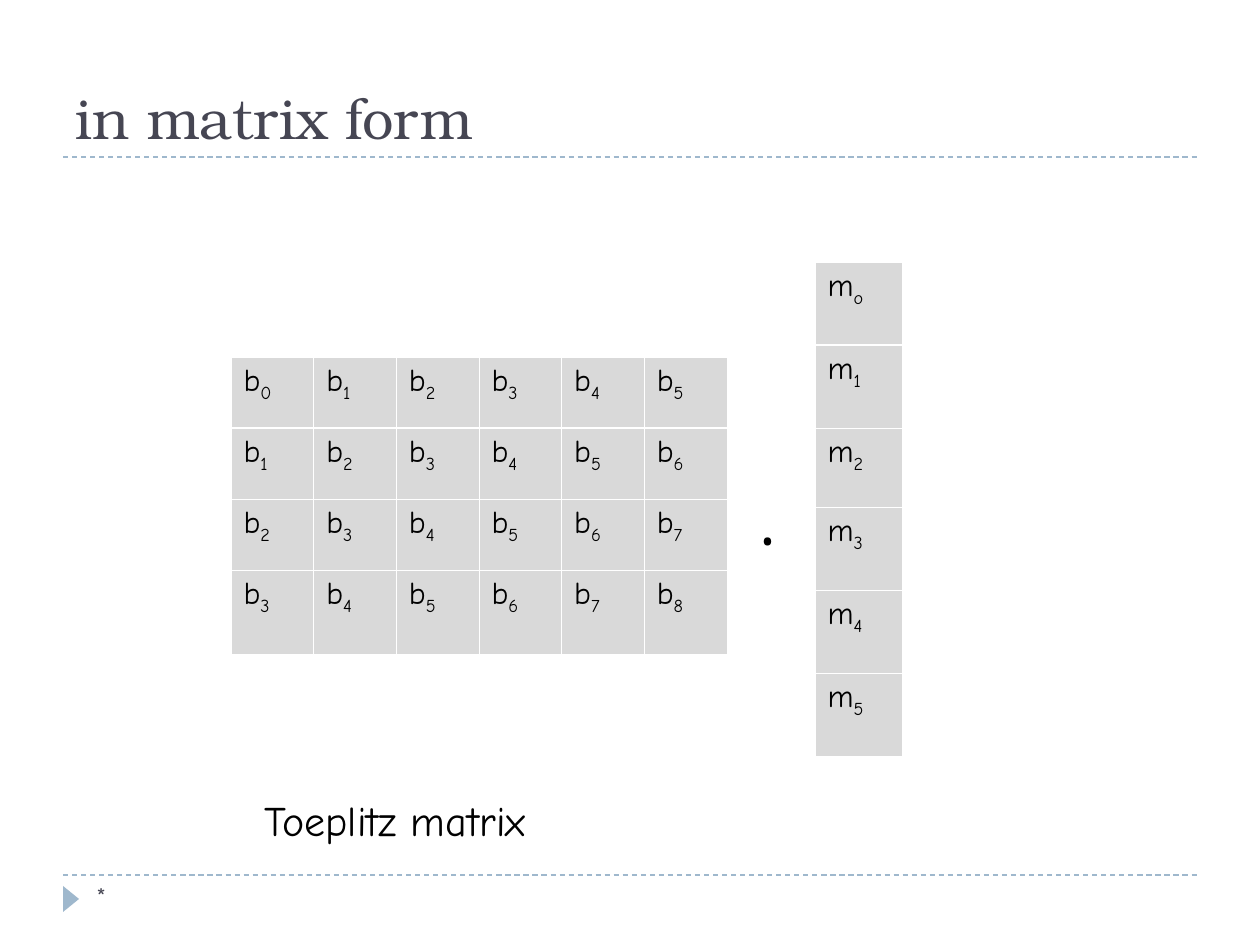
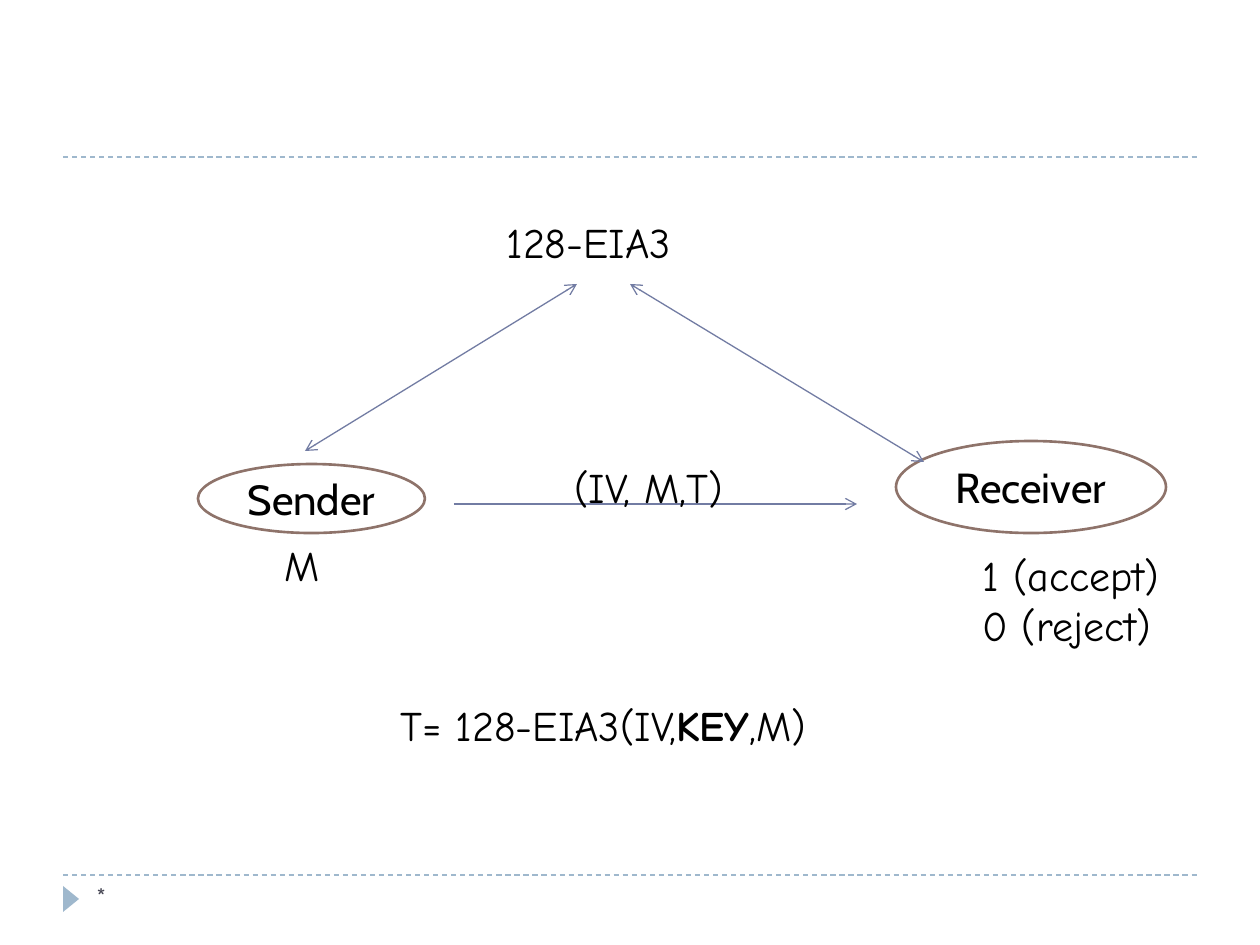
from lxml.etree import SubElement
from pptx import Presentation
from pptx.dml.color import RGBColor
from pptx.enum.dml import MSO_LINE
from pptx.enum.shapes import MSO_CONNECTOR, MSO_SHAPE
from pptx.enum.text import MSO_ANCHOR, MSO_AUTO_SIZE, PP_ALIGN
from pptx.oxml.ns import qn
from pptx.util import Emu, Pt

# Shared look
INK, TITLE, BAND = "000000", "464653", "9FB8CD"
CELL, WHITE, RING, ARROW = "D9D9D9", "FFFFFF", "8E736A", "727CA3"
BODY, HEAD, NODE, MATH = "Comic Neue", "TeX Gyre Bonum", "Cabin", "Cambria"

# Matrix slide: rows of (letter, subscript), then place, width and row heights
MATRIX = [[("b", str(row + col)) for col in range(6)] for row in range(4)]
VECTOR = [[("m", sub)] for sub in "o12345"]
TABLES = [
    (MATRIX, 231, 357, 496, [71, 71, 71, 84]),
    (VECTOR, 815, 262, 87, [83, 83, 79, 83, 83, 83]),
]
NOTES = [
    ([["."]], (748, 469, 43, 97), dict(font=MATH, size=40)),
    ([["Toeplitz matrix"]], (252, 788, 304, 63), {}),
]

# Protocol slide
NODES = [("Sender", (198, 464, 227, 69)), ("Receiver", (896, 441, 270, 92))]
LABELS = [
    ([["(IV, M,T)"]], (562, 455, 178, 63), {}),
    ([["M"]], (272, 533, 60, 63), {}),
    ([["1 (accept)"], ["0 (reject)"]], (970, 543, 217, 113), {}),
    ([["128-EIA3"]], (494, 210, 336, 63), dict(wrap=True)),
    ([["T= 128-EIA3(IV,", ("KEY", {"b": "1"}), ",M)"]],
     (388, 693, 630, 63), dict(wrap=True)),
]
ARROWS = [  # from, to, two-headed
    ((454, 504), (857, 504), False),
    ((305, 451), (577, 284), True),
    ((924, 462), (630, 284), True),
]


def px(n):
    return Emu(round(n * 914400 / 126))


def paint(hue):
    return RGBColor.from_string(hue)


def write(frame, paras, font=BODY, size=24, hue=INK, align=PP_ALIGN.LEFT):
    """Fill a frame; a run is plain text or (text, run attributes)."""
    for i, runs in enumerate(paras):
        para = frame.add_paragraph() if i else frame.paragraphs[0]
        para.alignment = align
        for item in runs:
            words, extra = (item, {}) if isinstance(item, str) else item
            run = para.add_run()
            run.text = words
            run.font.name, run.font.size = font, Pt(size)
            run.font.color.rgb = paint(hue)
            for key, val in extra.items():
                run._r.get_or_add_rPr().set(key, val)


def label(slide, paras, box, wrap=False, grow=True,
          anchor=MSO_ANCHOR.TOP, **style):
    frame = slide.shapes.add_textbox(*map(px, box)).text_frame
    frame.word_wrap = wrap
    frame.auto_size = (MSO_AUTO_SIZE.SHAPE_TO_FIT_TEXT if grow
                       else MSO_AUTO_SIZE.NONE)
    frame.vertical_anchor = anchor
    write(frame, paras, **style)


def shape(slide, kind, box, fill, edge=None):
    item = slide.shapes.add_shape(kind, *map(px, box))
    item.shadow.inherit = False
    item.fill.solid()
    item.fill.fore_color.rgb = paint(fill)
    if edge:
        item.line.color.rgb = paint(edge)
        item.line.width = Pt(1.5)
    else:
        item.line.fill.background()
    return item


def line(slide, start, end, hue, dash=None, ends=()):
    item = slide.shapes.add_connector(
        MSO_CONNECTOR.STRAIGHT, *map(px, start + end))
    item.line.color.rgb = paint(hue)
    item.line.width = Pt(0.75)
    if dash:
        item.line.dash_style = dash
    for tag in ends:
        SubElement(item.line._get_or_add_ln(), qn(tag), type="arrow")
    SubElement(item._element.spPr, qn("a:effectLst"))


def border(cell, widths):
    props = cell._tc.get_or_add_tcPr()
    for side, width in widths.items():
        edge = SubElement(props, qn("a:ln" + side), w=str(Pt(width)))
        fill = SubElement(edge, qn("a:solidFill"))
        SubElement(fill, qn("a:srgbClr"), val=WHITE)


def grid(slide, rows, left, top, width, highs):
    box = map(px, (left, top, width, sum(highs)))
    table = slide.shapes.add_table(len(rows), len(rows[0]), *box).table
    table.first_row = table.horz_banding = False
    for col in table.columns:
        col.width = px(width / len(rows[0]))
    for r, row in enumerate(rows):
        table.rows[r].height = px(highs[r])
        for c, (name, sub) in enumerate(row):
            cell = table.cell(r, c)
            # A thicker rule sits below the first row
            border(cell, {"L": 0.45, "R": 0.45,
                          "T": 1.47 if r == 1 else 0.45,
                          "B": 1.47 if r == 0 else 0.45})
            cell.fill.solid()
            cell.fill.fore_color.rgb = paint(CELL)
            write(cell.text_frame,
                  [[name, (sub, {"baseline": "-25000"})]], size=18)


def page(deck, title=None):
    """Add a slide with the bands, marker, footer and optional title."""
    slide = deck.slides.add_slide(deck.slide_layouts[6])
    for y in (875, 157):
        line(slide, (63, y), (1197, y), BAND, dash=MSO_LINE.DASH)
    mark = shape(slide, MSO_SHAPE.ISOSCELES_TRIANGLE, (58, 891, 26, 16), BAND)
    mark.rotation = 90
    if title:
        label(slide, [[title]], (63, 21, 1134, 136), wrap=True, grow=False,
              anchor=MSO_ANCHOR.BOTTOM, font=HEAD, size=32, hue=TITLE)
    label(slide, [["*"]], (84, 875, 273, 50), wrap=True, grow=False,
          size=14, hue=TITLE)
    return slide


def main():
    deck = Presentation()
    deck.slide_width, deck.slide_height = px(1260), px(945)

    # Matrix times vector
    slide = page(deck, "in matrix form")
    for spec_row in TABLES:
        grid(slide, *spec_row)
    for paras, box, style in NOTES:
        label(slide, paras, box, **style)

    # Sender to receiver
    slide = page(deck)
    for name, box in NODES:
        node = shape(slide, MSO_SHAPE.OVAL, box, WHITE, RING)
        node.text_frame.vertical_anchor = MSO_ANCHOR.MIDDLE
        write(node.text_frame, [[name]], font=NODE, align=PP_ALIGN.CENTER)
    for start, end, both in ARROWS:
        ends = ("a:headEnd", "a:tailEnd") if both else ("a:tailEnd",)
        line(slide, start, end, ARROW, ends=ends)
    for paras, box, style in LABELS:
        label(slide, paras, box, **style)

    deck.save("out.pptx")


if __name__ == "__main__":
    main()
